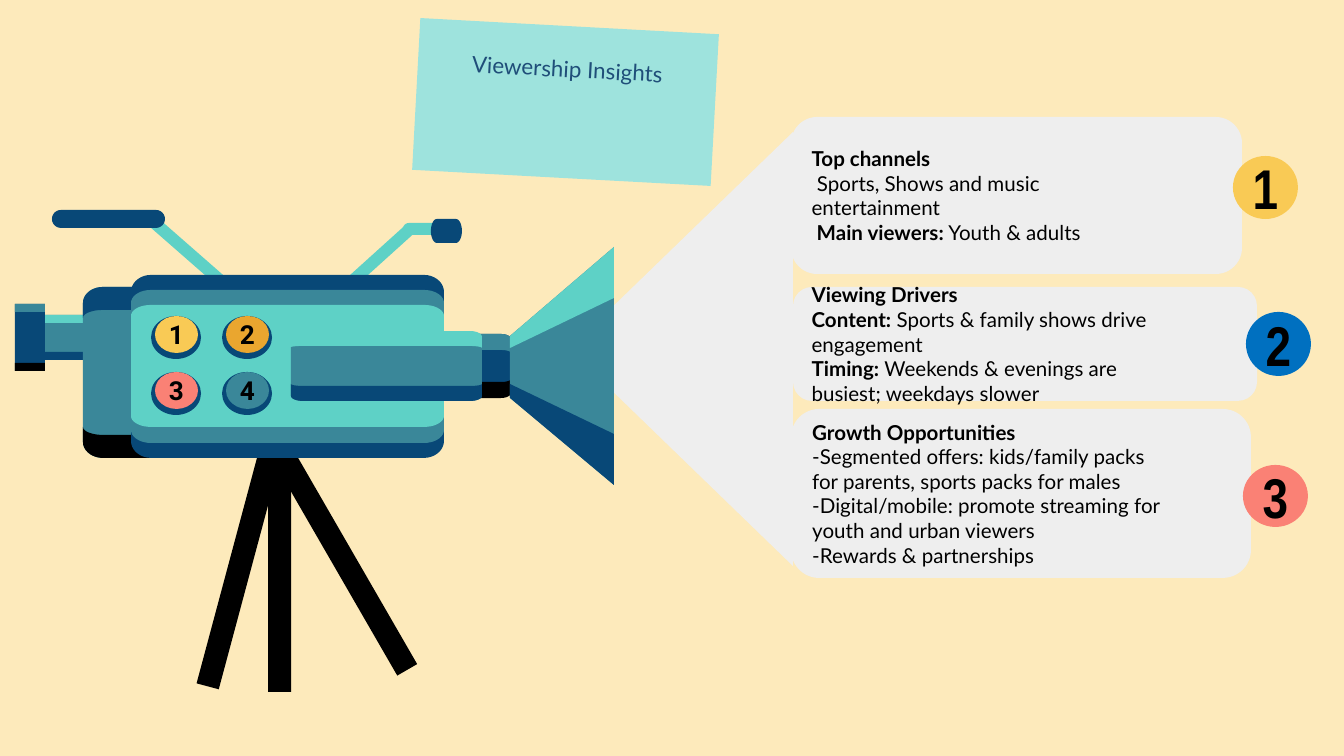
import math
from dataclasses import dataclass

import pptx
import pptx.dml.color
import pptx.enum.shapes
import pptx.enum.text
import pptx.util

SHAPE = pptx.enum.shapes.MSO_SHAPE
ALIGN = pptx.enum.text.PP_ALIGN
ANCHOR = pptx.enum.text.MSO_ANCHOR
PX = 914400 / 134.4


@dataclass(frozen=True)
class Theme:
    cream: str = "FDEABB"
    mint: str = "9EE3DD"
    teal: str = "5ED1C6"
    steel: str = "3A8799"
    navy: str = "084877"
    black: str = "000000"
    grey: str = "EEEEEE"
    yellow: str = "F9CA55"
    orange: str = "EAA62F"
    coral: str = "FA8175"
    blue: str = "0070C0"
    title_ink: str = "1F4E79"
    title_pt: int = 12
    body_pt: int = 11
    button_pt: int = 14
    badge_pt: int = 30


T = Theme()


def emu(px):
    return pptx.util.Emu(round(px * PX))


def rgb(value):
    return pptx.dml.color.RGBColor.from_string(value)


def inside(box, x, y, w, h):
    return box[0] + x, box[1] + y, w, h


def paint(sp, color):
    sp.shadow.inherit = False
    sp.fill.solid()
    sp.fill.fore_color.rgb = rgb(color)
    sp.line.fill.background()
    return sp


def add_preset(shapes, kind, box, color, rotation=0):
    sp = paint(shapes.add_shape(kind, *map(emu, box)), color)
    sp.rotation = rotation
    return sp


def add_outline(shapes, box, points, color):
    """Closed outline whose points count from the box's top left corner."""
    pts = [(emu(box[0] + x), emu(box[1] + y)) for x, y in points]
    builder = shapes.build_freeform(*pts[0], scale=1.0)
    builder.add_line_segments(pts[1:], close=True)
    return paint(builder.convert_to_shape(), color)


def dome(x, w, base, rx, ry):
    """Left to right edge with elliptical corners; it rises by ry above base."""
    angles = [math.radians(a) for a in range(0, 91, 10)]
    left = [(x + rx - rx * math.cos(a), base - ry * math.sin(a)) for a in angles]
    return left + [(2 * x + w - px, py) for px, py in reversed(left)]


def soft_box(x, y, w, h, rx, ry):
    return dome(x, w, y + ry, rx, ry) + dome(x, w, y + h - ry, rx, -ry)[::-1]


def top_band(x, y, w, h, rx, ry, thick):
    return dome(x, w, y + ry, rx, ry) + dome(x, w, y + h, rx, h - thick)[::-1]


def bottom_band(x, y, w, h, rx, ry, thick):
    return dome(x, w, y + h - ry, rx, -ry) + dome(x, w, y, rx, thick - h)[::-1]


def capsule(x1, y1, x2, y2, r):
    turn = math.atan2(y2 - y1, x2 - x1)
    ends = ((x1, y1, 90), (x2, y2, 270))
    return [(x + r * math.cos(turn + math.radians(start + a)),
             y + r * math.sin(turn + math.radians(start + a)))
            for x, y, start in ends for a in range(0, 181, 15)]


def set_frame(tf, **values):
    frame = dict(word_wrap=True, vertical_anchor=ANCHOR.MIDDLE, margin_left=0,
                 margin_right=0, margin_top=0, margin_bottom=0)
    for name, value in {**frame, **values}.items():
        setattr(tf, name, value)


def add_run(p, text, color=T.black, **font):
    r = p.add_run()
    r.text = text
    r.font.color.rgb = rgb(color)
    for name, value in font.items():
        setattr(r.font, name, value)


def label(sp, text, face, size):
    set_frame(sp.text_frame, word_wrap=False)
    p = sp.text_frame.paragraphs[0]
    p.alignment = ALIGN.CENTER
    add_run(p, text, name=face, size=pptx.util.Pt(size), bold=True)


def tripod(shapes, box):
    for x, angle in ((99, 90), (144, 240), (70, 285)):
        add_preset(shapes, SHAPE.RECTANGLE, inside(box, x, 304, 331, 23), T.black, angle)


def camera_body(shapes, box):
    for points, color in (
        # handle, microphone and their arms
        (capsule(135, 8, 207, 71, 6), T.teal),
        (capsule(46, 8, 141, 8, 9), T.navy),
        (capsule(395, 18, 323, 83, 6), T.teal),
        (capsule(394, 18, 424, 18, 6), T.teal),
        (soft_box(416, 8, 31, 24, 6, 12), T.navy),
        # viewfinder tube
        (soft_box(21, 104, 129, 45, 8, 4), T.steel),
        (top_band(21, 104, 129, 9, 8, 4, 8), T.teal),
        (bottom_band(21, 140, 129, 9, 8, 4, 8), T.navy),
        # rear housing
        (soft_box(68, 76, 312, 171, 20, 16), T.steel),
        (bottom_band(68, 216, 312, 31, 20, 16, 23), T.black),
        (top_band(68, 76, 312, 31, 20, 16, 23), T.navy),
        # front housing
        (soft_box(116, 64, 313, 183, 20, 17), T.navy),
        (soft_box(116, 79, 313, 153, 20, 13), T.steel),
        (soft_box(116, 94, 313, 122, 20, 11), T.teal),
        # lens ring
        (soft_box(331, 123, 165, 63, 10, 5), T.navy),
        (bottom_band(331, 168, 165, 19, 10, 5, 16), T.black),
        (top_band(331, 123, 165, 19, 10, 5, 16), T.steel),
        # lens barrel
        (soft_box(276, 121, 191, 69, 12, 5), T.steel),
        (bottom_band(276, 173, 191, 17, 12, 5, 15), T.navy),
        (top_band(274, 120, 193, 17, 12, 6, 15), T.teal),
        # lens hood
        ([(495, 125), (599, 36), (599, 274), (495, 187)], T.steel),
        ([(495, 173), (599, 223), (599, 274), (495, 187)], T.navy),
        ([(495, 125), (599, 36), (599, 87), (495, 137)], T.teal),
    ):
        add_outline(shapes, box, points, color)
    for y, h, color in ((93, 67, T.navy), (152, 8, T.black), (93, 8, T.steel)):
        add_preset(shapes, SHAPE.RECTANGLE, inside(box, 0, y, 30, h), color)


def buttons(shapes, box):
    for i, color in enumerate((T.yellow, T.orange, T.coral, T.steel)):
        x, y = i % 2 * 71, i // 2 * 56
        add_preset(shapes, SHAPE.OVAL, inside(box, x, y, 50, 43), T.navy)
        face = add_preset(shapes, SHAPE.OVAL, inside(box, x + 4, y, 43, 37), color)
        label(face, str(i + 1), "Roboto", T.button_pt)


def camera(slide, box):
    shapes = slide.shapes.add_group_shape().shapes
    tripod(shapes, box)
    camera_body(shapes, box)
    buttons(shapes, inside(box, 136, 105, 121, 99))


def card(slide, box, paragraphs):
    """Each paragraph is a bold part and a regular part, either may be empty."""
    sp = add_preset(slide.shapes, SHAPE.ROUNDED_RECTANGLE, box, T.grey)
    tf = sp.text_frame
    set_frame(tf, margin_left=emu(13), margin_right=emu(67))
    for i, parts in enumerate(paragraphs):
        p = tf.add_paragraph() if i else tf.paragraphs[0]
        p.alignment = ALIGN.LEFT
        for text, bold in zip(parts, (True, False)):
            if text:
                add_run(p, text, name="Lato", size=pptx.util.Pt(T.body_pt), bold=bold)


def badge(slide, box, number, color):
    sp = add_preset(slide.shapes, SHAPE.OVAL, box, color)
    label(sp, str(number), "Arial Narrow", T.badge_pt)


def title(slide, box, text):
    sp = slide.shapes.title
    for name, value in zip(("left", "top", "width", "height"), map(emu, box)):
        setattr(sp, name, value)
    sp.rotation = 3.1
    sp.fill.solid()
    sp.fill.fore_color.rgb = rgb(T.mint)
    set_frame(sp.text_frame, vertical_anchor=ANCHOR.TOP, margin_top=emu(29),
              auto_size=pptx.enum.text.MSO_AUTO_SIZE.NONE)
    p = sp.text_frame.paragraphs[0]
    p.alignment = ALIGN.CENTER
    add_run(p, text, T.title_ink, name="Lato", size=pptx.util.Pt(T.title_pt))


CARDS = (
    ((791, 117, 451, 157), (1233, 156, 65, 63), T.yellow, (
        ("Top channels", ""),
        ("", " Sports, Shows and music entertainment"),
        (" Main viewers:", " Youth & adults"))),
    ((793, 287, 464, 114), (1246, 312, 65, 64), T.blue, (
        ("Viewing Drivers", ""),
        ("Content:", " Sports & family shows drive engagement"),
        ("Timing:", " Weekends & evenings are busiest; weekdays slower"))),
    ((791, 409, 460, 169), (1243, 465, 65, 62), T.coral, (
        ("Growth Opportunities", ""),
        ("", "-Segmented offers: kids/family packs for parents, sports packs for males"),
        ("", "-Digital/mobile: promote streaming for youth and urban viewers"),
        ("", "-Rewards & partnerships"))),
)


def main():
    prs = pptx.Presentation()
    prs.slide_width, prs.slide_height = emu(1344), emu(756)
    s = prs.slides.add_slide(prs.slide_layouts[5])
    s.background.fill.solid()
    s.background.fill.fore_color.rgb = rgb(T.cream)
    title(s, (416, 26, 299, 152), "Viewership Insights")
    add_preset(s.shapes, SHAPE.ISOSCELES_TRIANGLE, (464, 237, 434, 224), T.grey, 270)
    camera(s, (15, 211, 599, 503))
    for box, _, _, paragraphs in CARDS:
        card(s, box, paragraphs)
    for number, (_, box, color, _) in enumerate(CARDS, 1):
        badge(s, box, number, color)
    prs.save("out.pptx")


if __name__ == "__main__":
    main()
